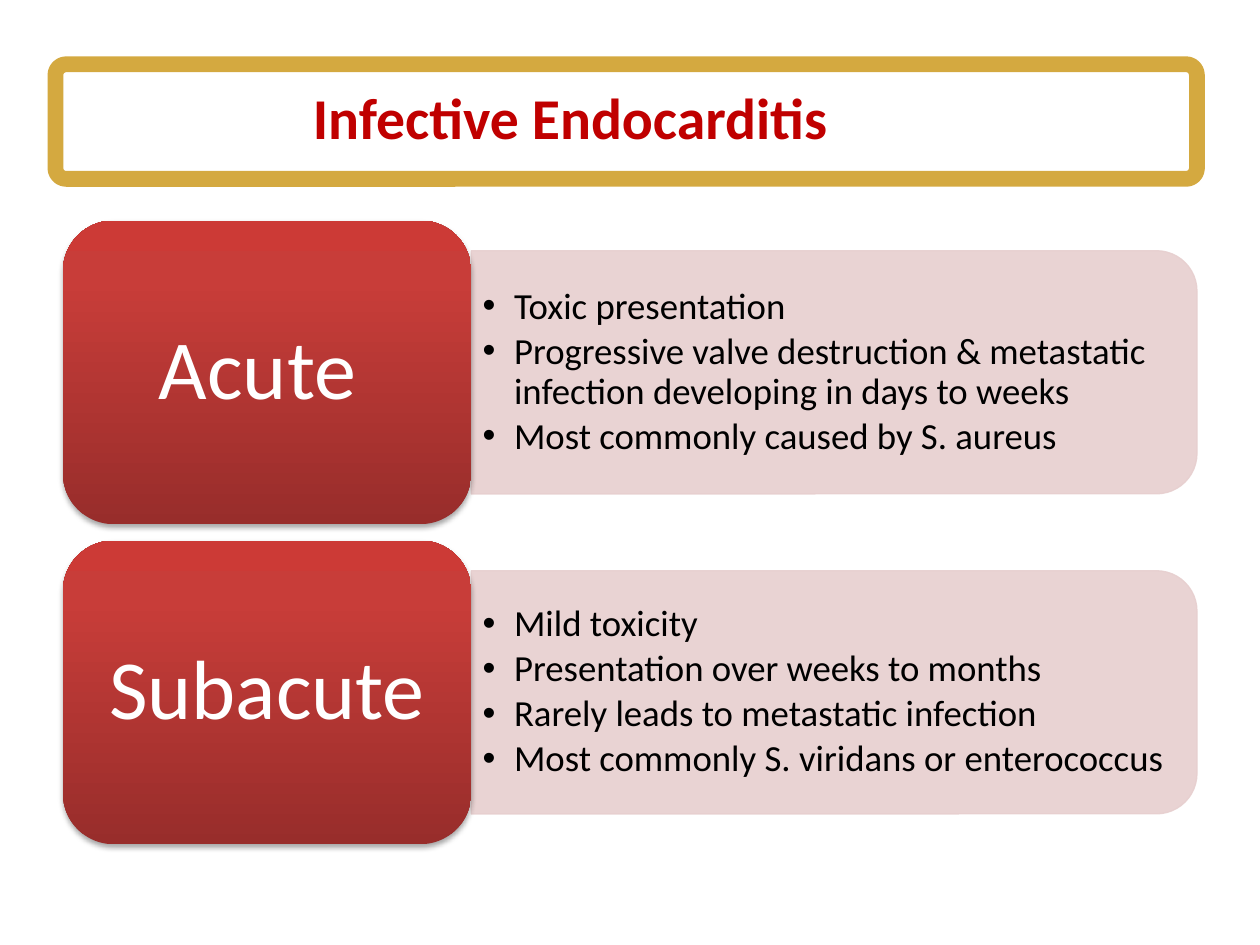
from lxml import etree
from pptx import Presentation
from pptx.dml.color import RGBColor
from pptx.enum.shapes import MSO_SHAPE
from pptx.enum.text import MSO_ANCHOR, MSO_AUTO_SIZE, PP_ALIGN
from pptx.oxml import parse_xml
from pptx.oxml.ns import nsdecls, qn
from pptx.util import Inches, Pt

MIDDLE = MSO_ANCHOR.MIDDLE
CENTER = PP_ALIGN.CENTER
NO_AUTOFIT = MSO_AUTO_SIZE.NONE
ROUNDED = MSO_SHAPE.ROUNDED_RECTANGLE
ROUNDED_TOP = MSO_SHAPE.ROUND_2_SAME_RECTANGLE

WHITE = RGBColor(0xFF, 0xFF, 0xFF)
BLACK = RGBColor(0, 0, 0)
GOLD = RGBColor(0xD4, 0xA9, 0x40)
DARK_RED = RGBColor(0xC0, 0, 0)
PINK = RGBColor(0xE7, 0xCF, 0xCF)

CARD_GRADIENT = f"""<a:gradFill {nsdecls('a')} rotWithShape="1"><a:gsLst>
<a:gs pos="0"><a:srgbClr val="982D2B"/></a:gs>
<a:gs pos="80000"><a:srgbClr val="C83D39"/></a:gs>
<a:gs pos="100000"><a:srgbClr val="CC3A36"/></a:gs>
</a:gsLst><a:lin ang="16200000" scaled="0"/></a:gradFill>"""
CARD_SHADOW = f"""<a:outerShdw {nsdecls('a')} blurRad="40000" dist="23000" dir="5400000"
rotWithShape="0"><a:srgbClr val="000000"><a:alpha val="35000"/></a:srgbClr></a:outerShdw>"""

FORMS = [
    ("Acute ", [
        "Toxic presentation",
        "Progressive valve destruction & metastatic infection developing in days to weeks",
        "Most commonly caused by S. aureus",
    ]),
    ("Subacute", [
        "Mild toxicity",
        "Presentation over weeks to months",
        "Rarely leads to metastatic infection",
        "Most commonly S. viridans or enterococcus",
    ]),
]
FIRST_TOP, ROW_PITCH = 1.75, 2.54
CARD_LEFT, CARD_WIDTH, CARD_HEIGHT = 0.5, 3.24, 2.41
PANEL_LEFT, PANEL_WIDTH, PANEL_HEIGHT = CARD_LEFT + CARD_WIDTH, 5.76, 1.93
BULLETS_WIDTH, BULLETS_HEIGHT = 5.67, 1.74


def set_frame(text_frame, inset_x, inset_y):
    """Wrap the text, centre it vertically and set its insets in inches."""
    text_frame.word_wrap = True
    text_frame.auto_size = NO_AUTOFIT
    text_frame.vertical_anchor = MIDDLE
    text_frame.margin_left = text_frame.margin_right = Inches(inset_x)
    text_frame.margin_top = text_frame.margin_bottom = Inches(inset_y)


def style_paragraph(paragraph, size, color, bold=False):
    paragraph.line_spacing = 0.9
    for run in paragraph.runs:
        run.font.name = "Calibri"
        run.font.size = Pt(size)
        run.font.bold = bold
        run.font.color.rgb = color


presentation = Presentation()
presentation.slide_width = Inches(10)
presentation.slide_height = Inches(7.5)
slide = presentation.slides.add_slide(presentation.slide_layouts[5])
shapes = slide.shapes

# Title, in front of its gold frame
title = shapes.title
title.left, title.top = Inches(0.44), Inches(0.66)
title.width, title.height = Inches(8.17), Inches(0.6)
title.text_frame.text = "Infective Endocarditis"
set_frame(title.text_frame, 0.1, 0.05)
title.text_frame.paragraphs[0].alignment = CENTER
style_paragraph(title.text_frame.paragraphs[0], 33, DARK_RED, bold=True)

title_border = shapes.add_shape(ROUNDED, Inches(0.44), Inches(0.51), Inches(9.06), Inches(0.91))
title_border.shadow.inherit = False
title_border.adjustments[0] = 0.094
title_border.fill.solid()
title_border.fill.fore_color.rgb = WHITE
title_border.line.color.rgb = GOLD
title_border.line.width = Pt(9)
title._element.addprevious(title_border._element)

for row, (name, features) in enumerate(FORMS):
    card_top = FIRST_TOP + row * ROW_PITCH
    middle = card_top + CARD_HEIGHT / 2

    # Panel: drawn upright about its centre, then turned so its round end faces right
    panel = shapes.add_shape(
        ROUNDED_TOP,
        Inches(PANEL_LEFT + (PANEL_WIDTH - PANEL_HEIGHT) / 2), Inches(middle - PANEL_WIDTH / 2),
        Inches(PANEL_HEIGHT), Inches(PANEL_WIDTH))
    panel.rotation = 90
    panel.shadow.inherit = False
    panel.fill.solid()
    panel.fill.fore_color.rgb = PINK
    panel.line.color.rgb = PINK
    panel.line.width = Pt(0.75)
    for color in panel._element.spPr.iter(qn("a:srgbClr")):
        etree.SubElement(color, qn("a:alpha"), val="90000")

    bullets = shapes.add_textbox(
        Inches(PANEL_LEFT), Inches(middle - BULLETS_HEIGHT / 2),
        Inches(BULLETS_WIDTH), Inches(BULLETS_HEIGHT))
    text_frame = bullets.text_frame
    set_frame(text_frame, 0.09, 0.04)
    for index, feature in enumerate(features):
        paragraph = text_frame.add_paragraph() if index else text_frame.paragraphs[0]
        paragraph.text = feature
        paragraph.level = 1
        if index:
            paragraph.space_before = Pt(3.1)
        style_paragraph(paragraph, 21, BLACK)
        properties = paragraph._p.get_or_add_pPr()
        properties.set("marL", str(Inches(0.25)))
        properties.set("indent", str(Inches(-0.25)))
        bullet_color = etree.SubElement(properties, qn("a:buClr"))
        etree.SubElement(bullet_color, qn("a:srgbClr"), val=str(BLACK))
        etree.SubElement(properties, qn("a:buFont"), typeface="Arial")
        etree.SubElement(properties, qn("a:buChar"), char="•")

    card = shapes.add_shape(
        ROUNDED, Inches(CARD_LEFT), Inches(card_top), Inches(CARD_WIDTH), Inches(CARD_HEIGHT))
    card.line.fill.background()
    card.shadow.inherit = False
    card_properties = card._element.spPr
    card_properties.find(qn("a:prstGeom")).addnext(parse_xml(CARD_GRADIENT))
    card_properties.find(qn("a:effectLst")).append(parse_xml(CARD_SHADOW))
    card.text_frame.text = name
    set_frame(card.text_frame, 0.2, 0.1)
    card.text_frame.paragraphs[0].alignment = CENTER
    style_paragraph(card.text_frame.paragraphs[0], 48, WHITE)

presentation.save("out.pptx")
